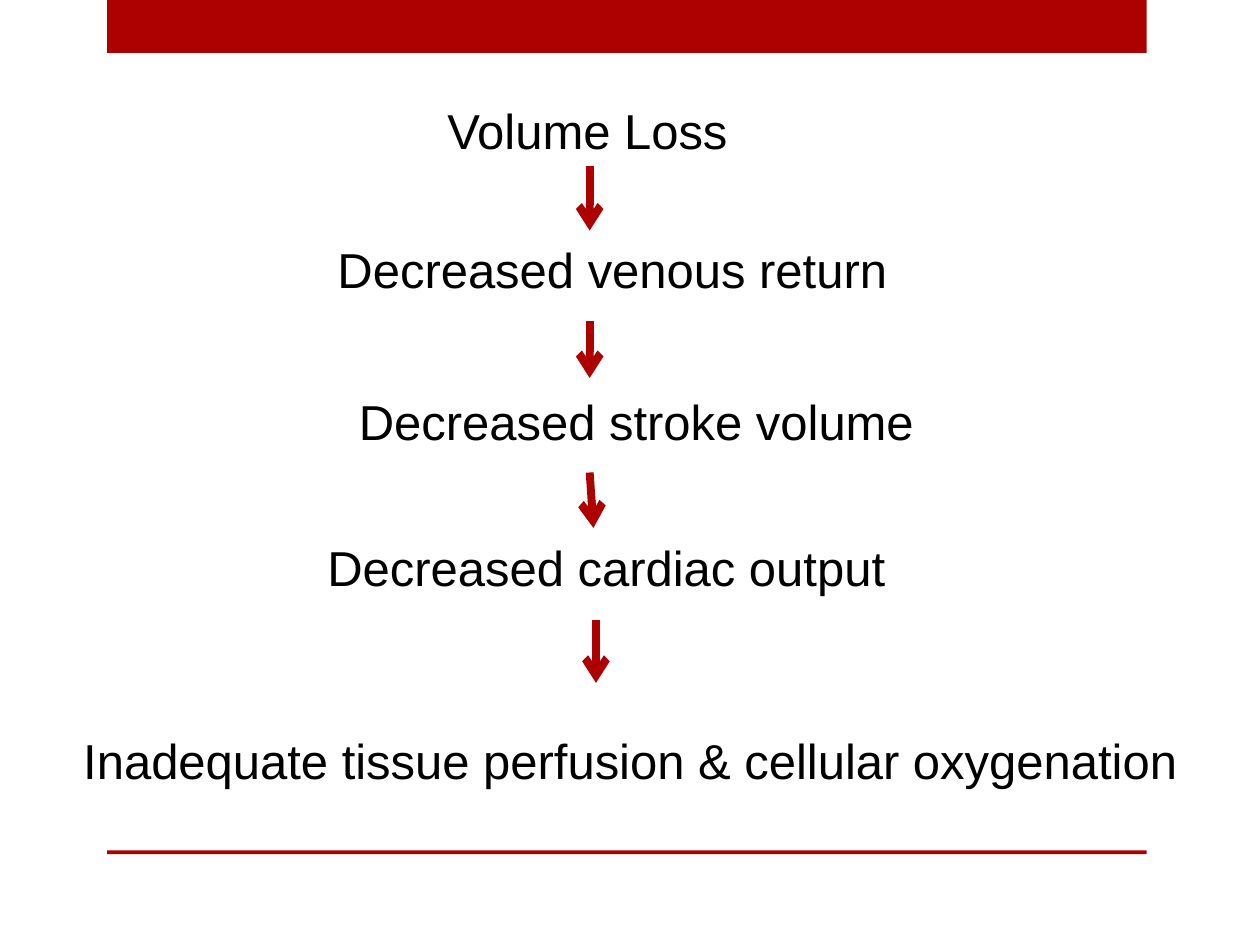
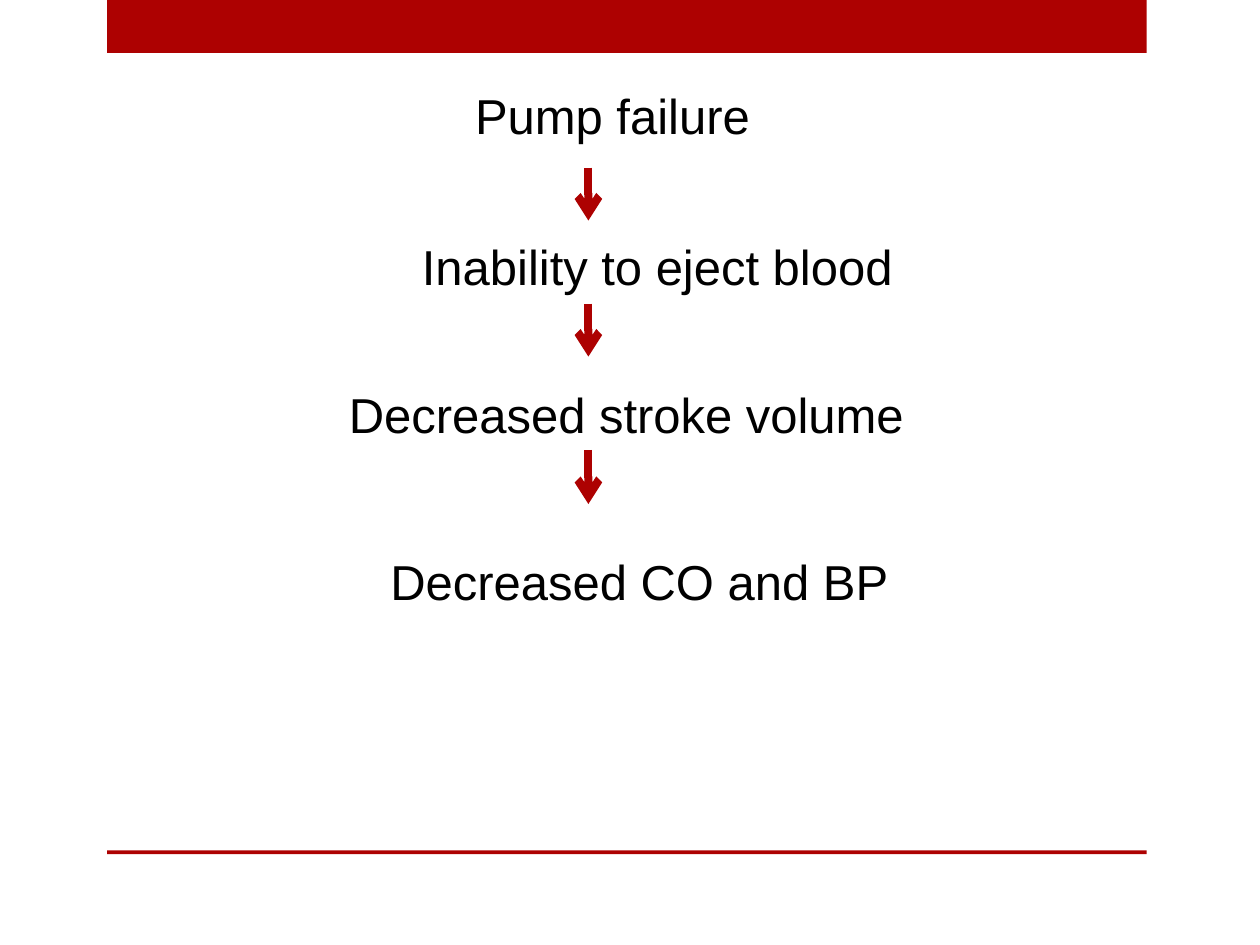
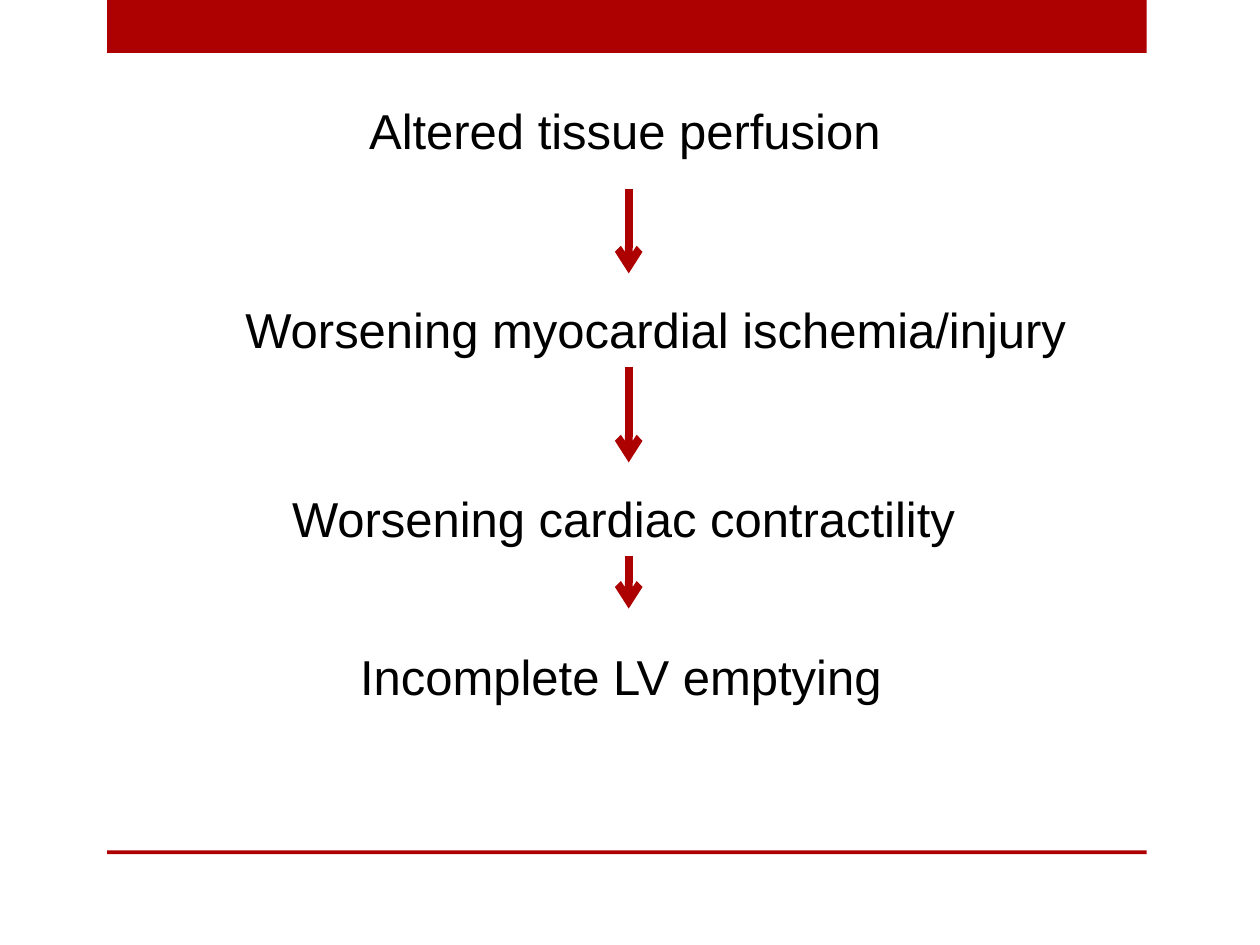
from lxml.etree import SubElement
from pptx import Presentation
from pptx.dml.color import RGBColor
from pptx.enum.shapes import MSO_CONNECTOR, MSO_SHAPE
from pptx.enum.text import MSO_ANCHOR, MSO_AUTO_SIZE, PP_ALIGN
from pptx.oxml.ns import qn
from pptx.util import Inches, Pt

RED, BLACK = "AD0101", "000000"
FONT, SIZE = "Arial", Pt(28)
STEP_H = 0.57
LEFT, CENTER = PP_ALIGN.LEFT, PP_ALIGN.CENTER

# Each chain: steps as (text, left, top, width, wrap, alignment),
# then arrows as (x1, y1, x2, y2), all in inches.
CHAINS = [
    ([("Volume Loss", 3.45, 0.75, 2.45, False, LEFT),
      ("Decreased venous return", 2.58, 1.85, 4.92, True, LEFT),
      ("Decreased stroke volume", 2.75, 3.06, 5.5, True, LEFT),
      ("Decreased cardiac output", 2.5, 4.22, 5, True, LEFT),
      ("Inadequate tissue perfusion & cellular oxygenation", 0, 5.75, 10, True, CENTER)],
     [(4.68, 1.32, 4.68, 1.83), (4.68, 2.55, 4.68, 3),
      (4.68, 3.75, 4.71, 4.19), (4.73, 4.92, 4.73, 5.42)]),
    ([("Pump failure", 3.67, 0.63, 2.41, False, LEFT),
      ("Inability to eject blood", 3.25, 1.83, 3.99, False, LEFT),
      ("Decreased stroke volume", 2.67, 3, 4.66, False, LEFT),
      ("Decreased CO and BP", 3, 4.33, 4.2, False, LEFT)],
     [(4.67, 1.33, 4.67, 1.75), (4.67, 2.41, 4.67, 2.83), (4.67, 3.57, 4.67, 4)]),
    ([("Altered tissue perfusion", 2.83, 0.75, 4.31, False, LEFT),
      ("Worsening myocardial ischemia/injury", 1.85, 2.33, 6.8, False, LEFT),
      ("Worsening cardiac contractility", 2.22, 3.83, 5.53, False, LEFT),
      ("Incomplete LV emptying", 2.76, 5.08, 4.39, False, LEFT)],
     [(4.99, 1.5, 4.99, 2.17), (4.99, 2.91, 4.99, 3.67), (4.99, 4.41, 4.99, 4.83)]),
]


def rgb(color):
    return RGBColor.from_string(color)


prs = Presentation()
prs.slide_width, prs.slide_height = Inches(10), Inches(7.5)
layout = prs.slide_layouts.get_by_name("Title Only")
slides = [prs.slides.add_slide(layout) for _ in CHAINS]

# Top band and bottom rule live on the layout that all slides share
for top, height in [(0, 0.42), (6.75, 0.03)]:
    sp = slides[0].shapes.add_shape(MSO_SHAPE.RECTANGLE, Inches(0.85), Inches(top),
                                    Inches(8.25), Inches(height))
    sp.shadow.inherit = False
    sp.fill.solid()
    sp.fill.fore_color.rgb = rgb(RED)
    sp.line.fill.background()
    layout.shapes._spTree.append(sp._element)

for s, (steps, arrows) in zip(slides, CHAINS):
    for i, (text, left, top, width, wrap, align) in enumerate(steps):
        # The first step of a chain is the slide title
        box = s.shapes.title if i == 0 else s.shapes.add_textbox(0, 0, 0, 0)
        box.left, box.top = Inches(left), Inches(top)
        box.width, box.height = Inches(width), Inches(STEP_H)
        tf = box.text_frame
        tf.text = text
        tf.word_wrap = wrap
        tf.auto_size = MSO_AUTO_SIZE.SHAPE_TO_FIT_TEXT
        tf.vertical_anchor = MSO_ANCHOR.TOP
        p = tf.paragraphs[0]
        p.alignment = align
        font = p.runs[0].font
        font.name, font.size = FONT, SIZE
        font.color.rgb = rgb(BLACK)

    for ends in arrows:
        arrow = s.shapes.add_connector(MSO_CONNECTOR.STRAIGHT, *map(Inches, ends))
        arrow.line.width = Pt(4.5)
        arrow.line.color.rgb = rgb(RED)
        SubElement(arrow.line._get_or_add_ln(), qn("a:tailEnd"), type="arrow")
        SubElement(arrow._element.spPr, qn("a:effectLst"))

prs.save("out.pptx")
